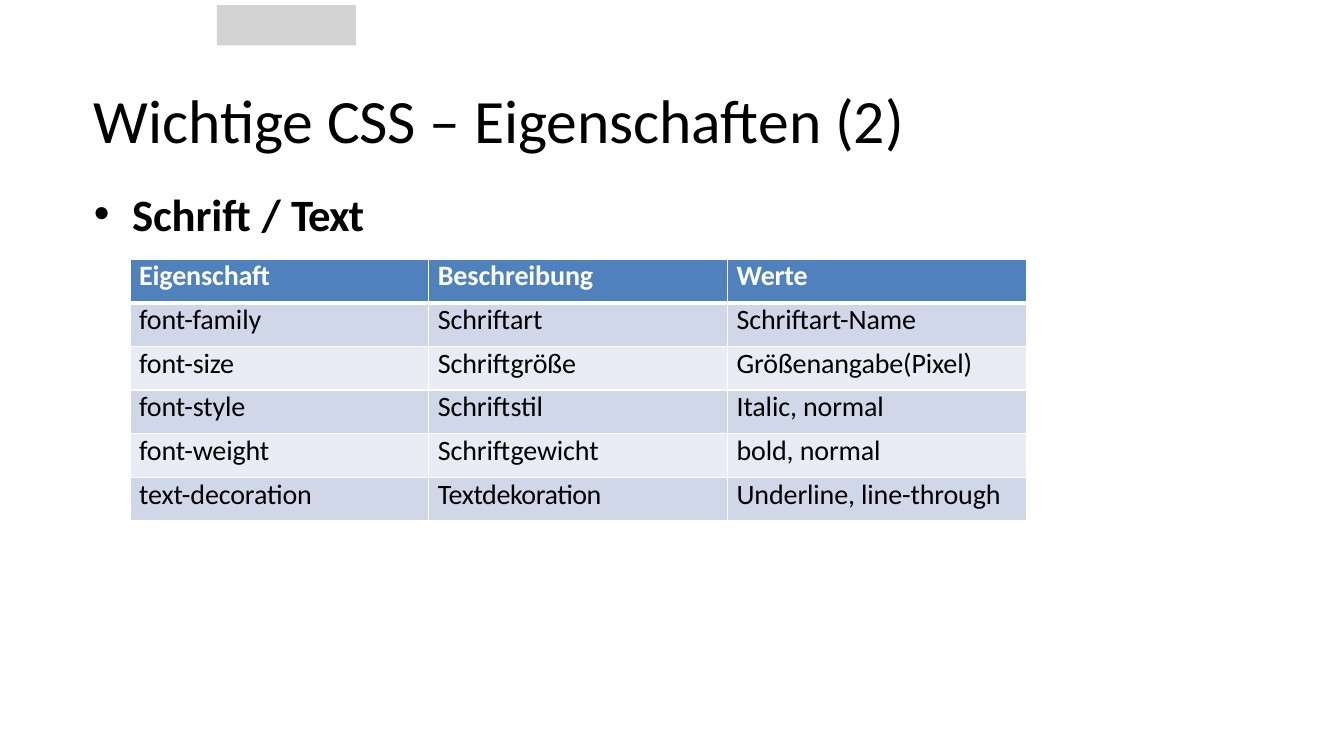
"""Build a slide listing CSS font and text properties in a table."""
import pptx
import pptx.dml.color
import pptx.enum.shapes
import pptx.enum.text
import pptx.oxml
import pptx.oxml.ns
import pptx.util

Inches = pptx.util.Inches
Pt = pptx.util.Pt
RGBColor = pptx.dml.color.RGBColor

BLACK = RGBColor(0x00, 0x00, 0x00)
WHITE = RGBColor(0xFF, 0xFF, 0xFF)
GREY = RGBColor(0xD4, 0xD3, 0xD3)
BLUE = RGBColor(0x4F, 0x81, 0xBC)
BAND_DARK = RGBColor(0xD0, 0xD7, 0xE8)
BAND_LIGHT = RGBColor(0xE9, 0xEC, 0xF4)

FRAME = {"margin_left": 0, "margin_right": 0, "margin_top": 0,
         "margin_bottom": 0, "word_wrap": True,
         "auto_size": pptx.enum.text.MSO_AUTO_SIZE.NONE}
CELL = {"margin_left": 0, "margin_right": 0, "margin_top": 0, "margin_bottom": 0}
TITLE_FONT = {"name": "Calibri", "size": Pt(44), "bold": False}
BULLET_FONT = {"name": "Calibri", "size": Pt(32), "bold": True}
HEAD_FONT = {"name": "Calibri", "size": Pt(20), "bold": True}
BODY_FONT = {"name": "Calibri", "size": Pt(20), "bold": False}

ROWS = [
    ("Eigenschaft", "Beschreibung", "Werte"),
    ("font-family", "Schriftart", "Schriftart-Name"),
    ("font-size", "Schriftgröße", "Größenangabe(Pixel)"),
    ("font-style", "Schriftstil", "Italic, normal"),
    ("font-weight", "Schriftgewicht", "bold, normal"),
    ("text-decoration", "Textdekoration", "Underline, line-through"),
]
SPACING = {"Werte": -0.2, "Textdekoration": -0.3}


def apply(obj, values):
    """Set every attribute named in a dict of format values."""
    for name, value in values.items():
        setattr(obj, name, value)


def add_run(p, text, font, color, spacing):
    """Add a formatted run with its letter spacing in points."""
    r = p.add_run()
    r.text = text
    apply(r.font, font)
    r.font.color.rgb = color
    r.font._element.set("spc", str(round(spacing * 100)))


def indent(p, left, first=0):
    """Set the left margin and first-line indent of a paragraph."""
    pPr = p._p.get_or_add_pPr()
    pPr.set("marL", str(Inches(left)))
    pPr.set("indent", str(Inches(first)))
    return pPr


def add_border(cell, index, side, width):
    """Draw one white border of a cell."""
    ln = pptx.oxml.parse_xml(
        f'<a:{side} {pptx.oxml.ns.nsdecls("a")} w="{Pt(width)}">'
        f'<a:solidFill><a:srgbClr val="{WHITE}"/></a:solidFill></a:{side}>')
    cell._tc.get_or_add_tcPr().insert(index, ln)


def add_title(s, text):
    """Place and fill the title placeholder."""
    sp = s.shapes.title
    apply(sp, {"left": Inches(0.92), "top": Inches(0.5),
               "width": Inches(11.5), "height": Inches(1.35)})
    tf = sp.text_frame
    apply(tf, FRAME)
    tf.vertical_anchor = pptx.enum.text.MSO_ANCHOR.MIDDLE
    p = tf.paragraphs[0]
    p.alignment = pptx.enum.text.PP_ALIGN.LEFT
    indent(p, 0.01)
    add_run(p, text, TITLE_FONT, BLACK, -0.1)


def add_bullet(s, parts):
    """Add the bulleted subheading from pairs of text and spacing."""
    sp = s.shapes.add_textbox(Inches(0.92), Inches(1.85), Inches(2.75), Inches(0.57))
    tf = sp.text_frame
    apply(tf, FRAME)
    p = tf.paragraphs[0]
    pPr = indent(p, 0.39, -0.38)
    for xml in ('<a:buFont {} typeface="Arial"/>', '<a:buChar {} char="•"/>'):
        pPr.append(pptx.oxml.parse_xml(xml.format(pptx.oxml.ns.nsdecls("a"))))
    for text, spacing in parts:
        add_run(p, text, BULLET_FONT, BLACK, spacing)


def add_marker(s):
    """Add the plain grey block at the top edge."""
    sp = s.shapes.add_shape(pptx.enum.shapes.MSO_SHAPE.RECTANGLE,
                            Inches(2.15), Inches(0.05), Inches(1.38), Inches(0.4))
    sp.shadow.inherit = False
    sp.fill.solid()
    sp.fill.fore_color.rgb = GREY
    sp.line.fill.background()


def fill_cell(cell, text, row):
    """Write, fill and border one cell according to its row."""
    apply(cell, CELL)
    cell.fill.solid()
    band = BAND_DARK if row % 2 else BAND_LIGHT
    cell.fill.fore_color.rgb = band if row else BLUE
    p = cell.text_frame.paragraphs[0]
    indent(p, 0.09)
    p.space_before = Pt(0.8 if row == 1 else 1.9)
    add_run(p, text, BODY_FONT if row else HEAD_FONT,
            BLACK if row else WHITE, SPACING.get(text, -0.1))
    widths = {"lnL": 1, "lnR": 1, "lnT": 3 if row == 1 else 1, "lnB": 1 if row else 3}
    for index, (side, width) in enumerate(widths.items()):
        add_border(cell, index, side, width)


def add_properties(s, rows):
    """Add the table of properties."""
    shape = s.shapes.add_table(len(rows), len(rows[0]), Inches(1.29), Inches(2.57),
                               Inches(8.89), Inches(2.6))
    for i, texts in enumerate(rows):
        for j, text in enumerate(texts):
            fill_cell(shape.table.cell(i, j), text, i)


def main():
    """Create the presentation and save it."""
    prs = pptx.Presentation()
    apply(prs, {"slide_width": Inches(13.33), "slide_height": Inches(7.5)})
    s = prs.slides.add_slide(prs.slide_layouts[5])
    add_marker(s)
    add_title(s, "Wichtige CSS – Eigenschaften (2)")
    add_bullet(s, [("Schrift / ", -0.1), ("Text", -0.8)])
    add_properties(s, ROWS)
    prs.save("out.pptx")


if __name__ == "__main__":
    main()
